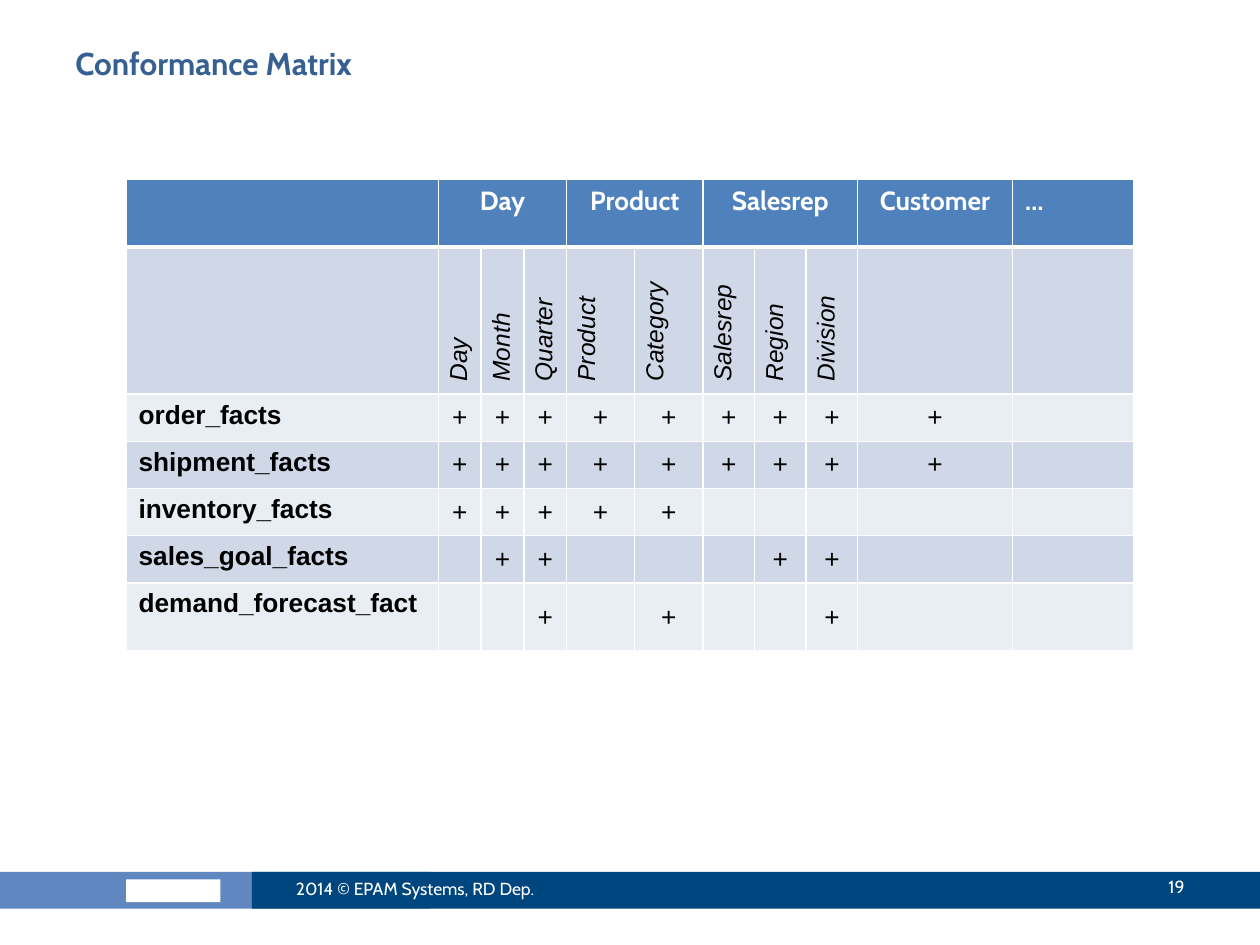
from lxml import etree
from pptx import Presentation
from pptx.dml.color import RGBColor
from pptx.enum.shapes import MSO_SHAPE as Shape
from pptx.enum.text import MSO_ANCHOR as Anchor, PP_ALIGN as Align
from pptx.oxml.ns import qn
from pptx.util import Pt

WHITE = RGBColor(0xFF, 0xFF, 0xFF)
BLACK = RGBColor(0x00, 0x00, 0x00)
TITLE_BLUE = RGBColor(0x37, 0x60, 0x92)
FOOTER_LIGHT = RGBColor(0x60, 0x87, 0xBF)
FOOTER_DARK = RGBColor(0x00, 0x46, 0x7E)
HEADER_BLUE = RGBColor(0x4F, 0x81, 0xBD)
BAND_DARK = RGBColor(0xD0, 0xD8, 0xE8)
BAND_LIGHT = RGBColor(0xE9, 0xED, 0xF4)

COLUMN_WIDTHS = [178.6] + [24.4] * 3 + [39] * 2 + [29.5] * 3 + [88.5, 69]
ROW_HEIGHTS = [39, 84] + [27] * 4 + [39]
GROUPS = [("Day", 1, 3), ("Product", 4, 5), ("Salesrep", 6, 8),
          ("Customer", 9, 9), ("…", 10, 10)]
LEVELS = ["Day", "Month", "Quarter", "Product", "Category",
          "Salesrep", "Region", "Division"]
FACTS = {  # fact table: columns marked with a plus
    "order_facts": range(1, 10),
    "shipment_facts": range(1, 10),
    "inventory_facts": range(1, 6),
    "sales_goal_facts": [2, 3, 7, 8],
    "demand_forecast_fact": [3, 5, 8],
}


def write(holder, text, size, color, name="Arial", bold=False, italic=False,
          align=Align.LEFT, anchor=Anchor.TOP):
    """Fill a text box or table cell with one formatted line."""
    holder.text_frame.text = text
    holder.text_frame.word_wrap = True
    holder.vertical_anchor = anchor
    para = holder.text_frame.paragraphs[0]
    para.alignment = align
    font = para.runs[0].font
    font.size, font.name, font.bold, font.italic = Pt(size), name, bold, italic
    font.color.rgb = color


def add_border(cell, side, width):
    line = etree.SubElement(cell._tc.get_or_add_tcPr(), qn(f"a:ln{side}"), w=str(Pt(width)))
    fill = etree.SubElement(line, qn("a:solidFill"))
    etree.SubElement(fill, qn("a:srgbClr"), val=str(WHITE))


deck = Presentation()
deck.slide_width, deck.slide_height = Pt(720), Pt(540)
page = deck.slides.add_slide(deck.slide_layouts[6])

# Footer bars, with a plain block as the emblem
for left, top, width, height, color in [
    (-1.5, 498.2, 247, 21, FOOTER_LIGHT),
    (72, 502.5, 54, 13, WHITE),
    (144, 498.2, 576, 21, FOOTER_DARK),
]:
    bar = page.shapes.add_shape(Shape.RECTANGLE, Pt(left), Pt(top), Pt(width), Pt(height))
    bar.shadow.inherit = False
    bar.fill.solid()
    bar.fill.fore_color.rgb = color
    bar.line.fill.background()

# Footer texts and title
for text, left, top, width, height, size, color, bold, align, anchor in [
    ("2014 © EPAM Systems, RD Dep.", 162, 493.2, 192, 28.8, 10, WHITE, False, Align.LEFT, Anchor.MIDDLE),
    ("19", 606, 492, 78, 28.8, 10, WHITE, False, Align.RIGHT, Anchor.MIDDLE),
    ("Conformance Matrix", 36, 21.6, 648, 56, 18, TITLE_BLUE, True, Align.LEFT, Anchor.TOP),
]:
    box = page.shapes.add_textbox(Pt(left), Pt(top), Pt(width), Pt(height))
    write(box, text, size, color, "Cabin", bold, align=align)
    box.text_frame.vertical_anchor = anchor

# Matrix grid
matrix = page.shapes.add_table(len(ROW_HEIGHTS), len(COLUMN_WIDTHS), Pt(72), Pt(102.2),
                               Pt(sum(COLUMN_WIDTHS)), Pt(sum(ROW_HEIGHTS))).table
for column, width in zip(matrix.columns, COLUMN_WIDTHS):
    column.width = Pt(width)
for index, (row, height) in enumerate(zip(matrix.rows, ROW_HEIGHTS)):
    row.height = Pt(height)
    for cell in row.cells:
        for side in "LRTB":
            thick = (index, side) in [(0, "B"), (1, "T")]
            add_border(cell, side, 3 if thick else 1)
        cell.fill.solid()
        cell.fill.fore_color.rgb = (
            HEADER_BLUE if index == 0 else BAND_DARK if index % 2 else BAND_LIGHT)
        # Keeps empty cells from stretching their row
        cell.text_frame.paragraphs[0]._p.get_or_add_endParaRPr().set("sz", "1400")

# Headings
for name, first, last in GROUPS:
    cell = matrix.cell(0, first)
    if last > first:
        cell.merge(matrix.cell(0, last))
    write(cell, name, 15, WHITE, "Cabin", bold=True,
          align=Align.LEFT if name == "…" else Align.CENTER)
for column, name in enumerate(LEVELS, 1):
    cell = matrix.cell(1, column)
    write(cell, name, 14, BLACK, italic=True, anchor=Anchor.MIDDLE)
    cell._tc.get_or_add_tcPr().set("vert", "vert270")

# Facts and their marks
for row, (fact, marked) in enumerate(FACTS.items(), 2):
    write(matrix.cell(row, 0), fact, 15, BLACK, bold=True)
    for column in marked:
        write(matrix.cell(row, column), "+", 15, BLACK,
              align=Align.CENTER, anchor=Anchor.MIDDLE)

deck.save("out.pptx")
